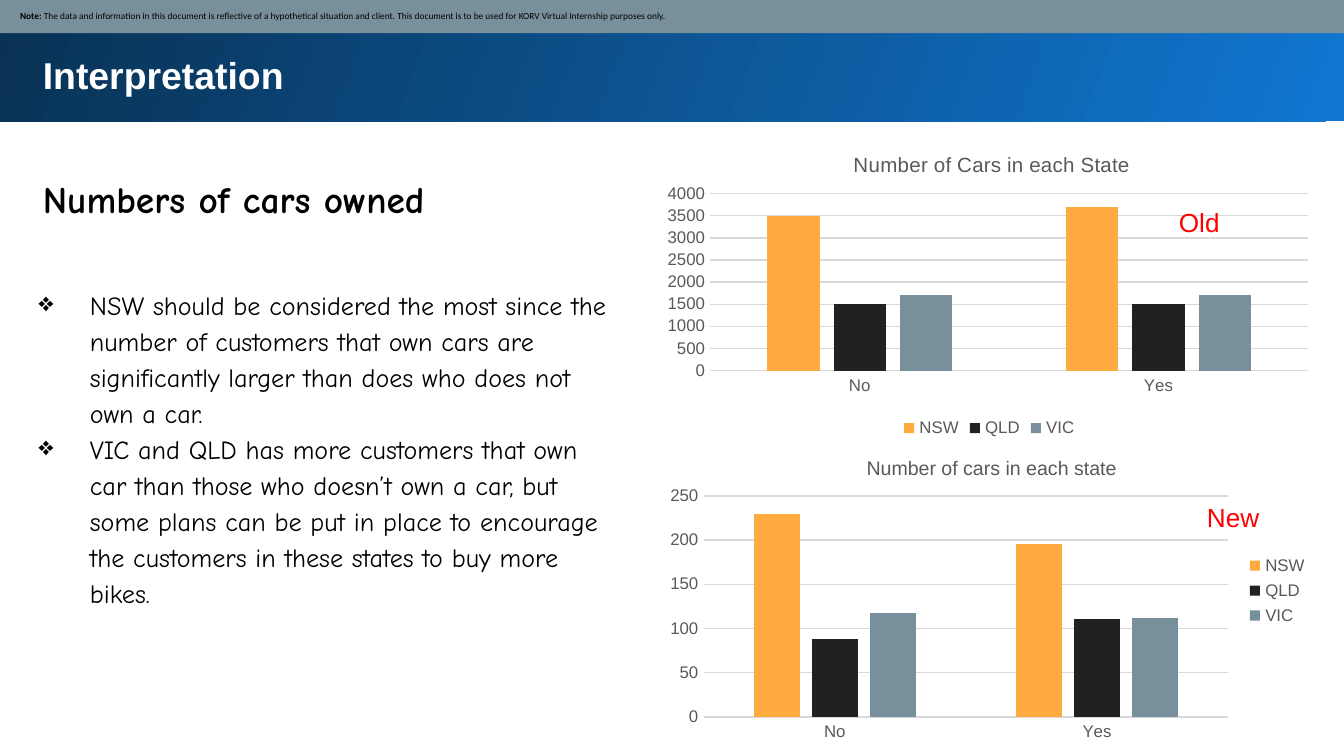
from dataclasses import dataclass

from lxml.etree import SubElement
from pptx import Presentation
from pptx.chart.data import CategoryChartData
from pptx.dml.color import RGBColor
from pptx.enum.chart import XL_CHART_TYPE as ChartType
from pptx.enum.chart import XL_LEGEND_POSITION as LegendPosition
from pptx.enum.chart import XL_TICK_MARK as TickMark
from pptx.enum.shapes import MSO_SHAPE as Preset
from pptx.enum.text import MSO_ANCHOR as Anchor
from pptx.enum.text import MSO_AUTO_SIZE as AutoSize
from pptx.enum.text import PP_ALIGN as Align
from pptx.oxml.ns import qn
from pptx.util import Cm, Pt

WHITE = RGBColor(0xFF, 0xFF, 0xFF)
BLACK = RGBColor(0, 0, 0)
RED = RGBColor(0xFF, 0, 0)
SKY = RGBColor(0x10, 0x77, 0xD2)
NAVY = RGBColor(0x09, 0x31, 0x53)
SLATE = RGBColor(0x78, 0x90, 0x9C)
ORANGE = RGBColor(0xFF, 0xAB, 0x40)
CHARCOAL = RGBColor(0x21, 0x21, 0x21)
AXIS_TEXT = RGBColor(0x59, 0x59, 0x59)
GRID = RGBColor(0xD9, 0xD9, 0xD9)

STATE_COLORS = {"NSW": ORANGE, "QLD": CHARCOAL, "VIC": SLATE}
FINDINGS = [
    "NSW should be considered the most since the number of customers that own "
    "cars are significantly larger than does who does not own a car.",
    "VIC and QLD has more customers that own car than those who doesn’t own a "
    "car, but some plans can be put in place to encourage the customers in "
    "these states to buy more bikes.",
]


@dataclass
class Box:
    """A place on the slide, in centimetres."""
    left: float
    top: float
    width: float
    height: float

    def lengths(self) -> tuple:
        """Return the four measures as lengths."""
        return Cm(self.left), Cm(self.top), Cm(self.width), Cm(self.height)


@dataclass
class CarChart:
    """One column chart of car owners by state."""
    title: str
    title_size: float
    title_spot: tuple
    box: Box
    plot: tuple
    legend: LegendPosition
    axis_max: int
    axis_step: int
    counts: dict


@dataclass
class Tag:
    """A red word laid over a chart."""
    text: str
    box: Box


CHARTS = [
    CarChart("Number of Cars in each State", 11, (0.29, 0.06),
             Box(12.42, 2.41, 12.55, 5.97), (0.08, 0.21, 0.9, 0.56),
             LegendPosition.BOTTOM, 4000, 500,
             {"NSW": (3500, 3700), "QLD": (1500, 1500), "VIC": (1700, 1700)}),
    CarChart("Number of cars in each state", 10.5, (0.31, 0.06),
             Box(12.42, 8.18, 12.55, 5.97), (0.07, 0.2, 0.79, 0.7),
             LegendPosition.RIGHT, 250, 50,
             {"NSW": (229, 195), "QLD": (88, 111), "VIC": (117, 112)}),
]
TAGS = [Tag("Old", Box(22.15, 3.78, 1.7, 0.86)),
        Tag("New", Box(22.68, 9.35, 1.7, 0.86))]


def style_font(font, size: float, color: RGBColor, name: str = "Arial", bold: bool = False) -> None:
    """Set size, colour, typeface and weight."""
    font.size, font.name, font.bold = Pt(size), name, bold
    font.color.rgb = color


def set_insets(frame, inset: float) -> None:
    """Give a text frame equal insets, wrapping and top anchoring."""
    frame.margin_left = frame.margin_right = Cm(inset)
    frame.margin_top = frame.margin_bottom = Cm(inset)
    frame.word_wrap, frame.auto_size = True, AutoSize.NONE
    frame.vertical_anchor = Anchor.TOP


def add_text(slide, box: Box, lines: list, size: float, color: RGBColor, name: str,
             bold: bool = False, inset: float = 0.25, spacing: float = 1.0):
    """Add a text box with one paragraph a line and return its frame."""
    frame = slide.shapes.add_textbox(*box.lengths()).text_frame
    set_insets(frame, inset)
    frame.text = "\n".join(lines)
    for paragraph in frame.paragraphs:
        paragraph.line_spacing = spacing
        style_font(paragraph.runs[0].font, size, color, name, bold)
    return frame


def add_bullets(frame, indent: float) -> None:
    """Put a diamond bullet with a hanging indent on each paragraph."""
    for paragraph in frame.paragraphs:
        properties = paragraph._p.get_or_add_pPr()
        properties.set("marL", str(Cm(indent)))
        properties.set("indent", str(-Cm(indent)))
        SubElement(properties, qn("a:buChar"), char="❖")


def add_band(slide, box: Box):
    """Add a plain rectangle without outline or shadow."""
    band = slide.shapes.add_shape(Preset.RECTANGLE, *box.lengths())
    band.shadow.inherit = False
    band.line.fill.background()
    return band


def place_part(parent, index: int, fractions: tuple, inner: bool = False) -> None:
    """Fix a chart part at fractions of the chart area."""
    for old in parent.findall(qn("c:layout")):
        parent.remove(old)
    layout = SubElement(parent, qn("c:layout"))
    parent.insert(index, layout)
    manual = SubElement(layout, qn("c:manualLayout"))
    if inner:
        SubElement(manual, qn("c:layoutTarget"), val="inner")
    for key in ("xMode", "yMode"):
        SubElement(manual, qn(f"c:{key}"), val="edge")
    for key, value in zip("xywh", fractions):
        SubElement(manual, qn(f"c:{key}"), val=str(value))


def add_car_chart(slide, car_chart: CarChart) -> None:
    """Draw one clustered column chart."""
    data = CategoryChartData()
    data.categories = ["No", "Yes"]
    for state, counts in car_chart.counts.items():
        data.add_series(state, counts)
    chart = slide.shapes.add_chart(
        ChartType.COLUMN_CLUSTERED, *car_chart.box.lengths(), data).chart
    style_font(chart.font, 10, BLACK)

    heading = chart.chart_title
    heading.text_frame.text = car_chart.title
    style_font(heading.text_frame.paragraphs[0].runs[0].font, car_chart.title_size, AXIS_TEXT)
    heading.include_in_layout = False
    place_part(heading.element, 1, car_chart.title_spot)
    place_part(chart.element.find(".//" + qn("c:plotArea")), 0, car_chart.plot, inner=True)

    chart.has_legend = True
    chart.legend.position = car_chart.legend
    chart.legend.include_in_layout = False
    style_font(chart.legend.font, 9, AXIS_TEXT)

    counts_axis = chart.value_axis
    for axis in (chart.category_axis, counts_axis):
        axis.major_tick_mark = axis.minor_tick_mark = TickMark.NONE
        style_font(axis.tick_labels.font, 9, AXIS_TEXT)
    counts_axis.minimum_scale, counts_axis.maximum_scale = 0, car_chart.axis_max
    counts_axis.major_unit = car_chart.axis_step
    counts_axis.format.line.fill.background()
    for line in (chart.category_axis.format.line, counts_axis.major_gridlines.format.line):
        line.color.rgb, line.width = GRID, Pt(0.75)

    columns = chart.plots[0]
    columns.gap_width, columns.overlap, columns.vary_by_categories = 219, -27, False
    for series in columns.series:
        series.format.fill.solid()
        series.format.fill.fore_color.rgb = STATE_COLORS[series.name]


def add_title(slide) -> None:
    """Lay the slide title over its gradient banner."""
    banner = add_band(slide, Box(-0.05, -0.05, 25.53, 2.34))
    banner.fill.gradient()
    banner.fill.gradient_angle = 160
    for stop, color in zip(banner.fill.gradient_stops, (SKY, NAVY)):
        stop.color.rgb = color
    title = slide.shapes.title
    title.element.addprevious(banner.element)
    title.left, title.top, title.width, title.height = Box(0.56, 0.74, 23.8, 2.11).lengths()
    set_insets(title.text_frame, 0.25)
    title.text_frame.text = "Interpretation"
    paragraph = title.text_frame.paragraphs[0]
    paragraph.alignment = Align.LEFT
    style_font(paragraph.runs[0].font, 20, WHITE, bold=True)


def add_note(slide) -> None:
    """Add the disclaimer strip along the top edge."""
    strip = add_band(slide, Box(-0.03, -0.03, 25.48, 0.66))
    strip.fill.solid()
    strip.fill.fore_color.rgb = SLATE
    set_insets(strip.text_frame, 0.13)
    strip.text_frame.margin_left = Cm(0.41)
    strip.text_frame.vertical_anchor = Anchor.MIDDLE
    paragraph = strip.text_frame.paragraphs[0]
    paragraph.alignment = Align.LEFT
    disclaimer = ("The data and information in this document is reflective of a hypothetical situation "
                  "and client. This document is to be used for KORV Virtual Internship purposes only.")
    for text, bold in (("Note: ", True), (disclaimer, False)):
        run = paragraph.add_run()
        run.text = text
        style_font(run.font, 5, BLACK, "Calibri", bold)


presentation = Presentation()
presentation.slide_width, presentation.slide_height = Cm(25.4), Cm(14.29)
slide = presentation.slides.add_slide(presentation.slide_layouts[5])
add_title(slide)
add_text(slide, Box(0.56, 2.95, 23.8, 1.42), ["Numbers of cars owned"],
         20, BLACK, "Comic Neue", bold=True, spacing=1.15)
findings = add_text(slide, Box(0.48, 5.13, 11.48, 6.65), FINDINGS,
                    14, BLACK, "Comic Neue", spacing=1.15)
add_bullets(findings, 0.97)
add_note(slide)
for car_chart in CHARTS:
    add_car_chart(slide, car_chart)
for tag in TAGS:
    add_text(slide, tag.box, [tag.text], 14, RED, "Arial", inset=0.13)
presentation.save("out.pptx")
